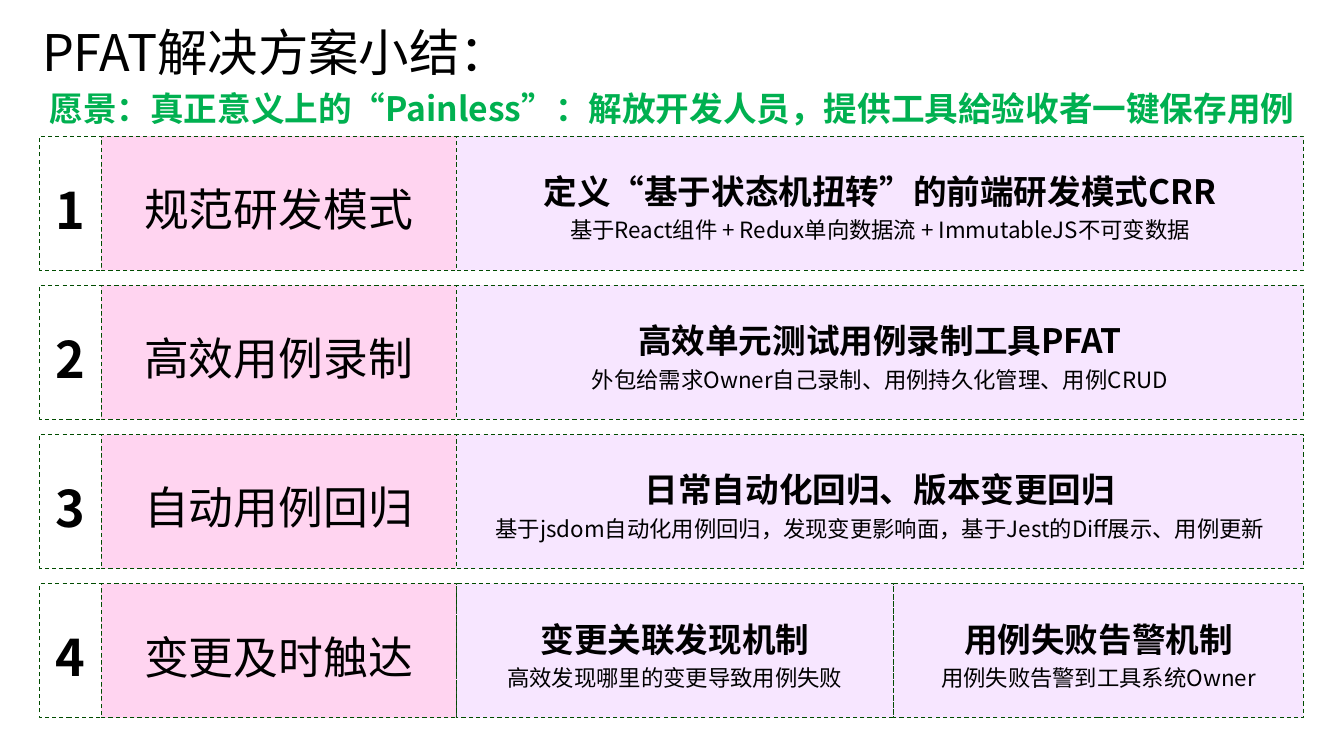
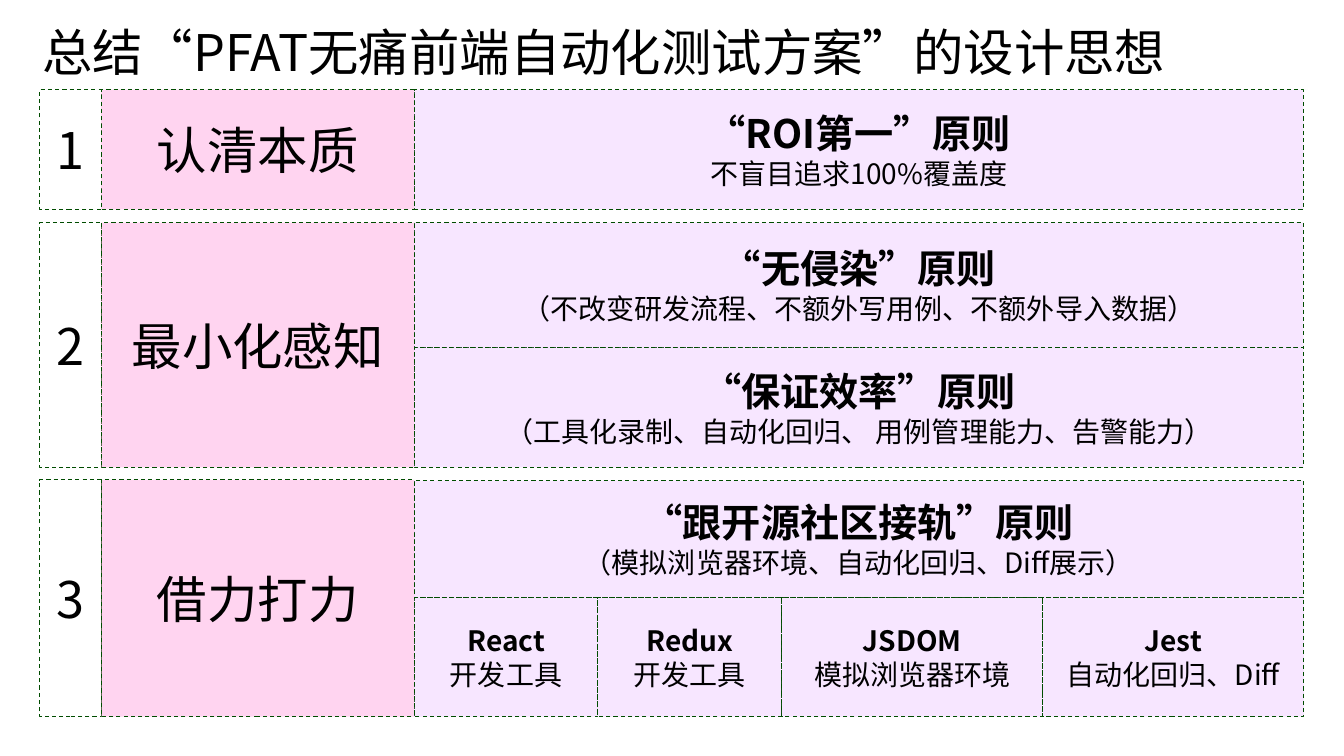
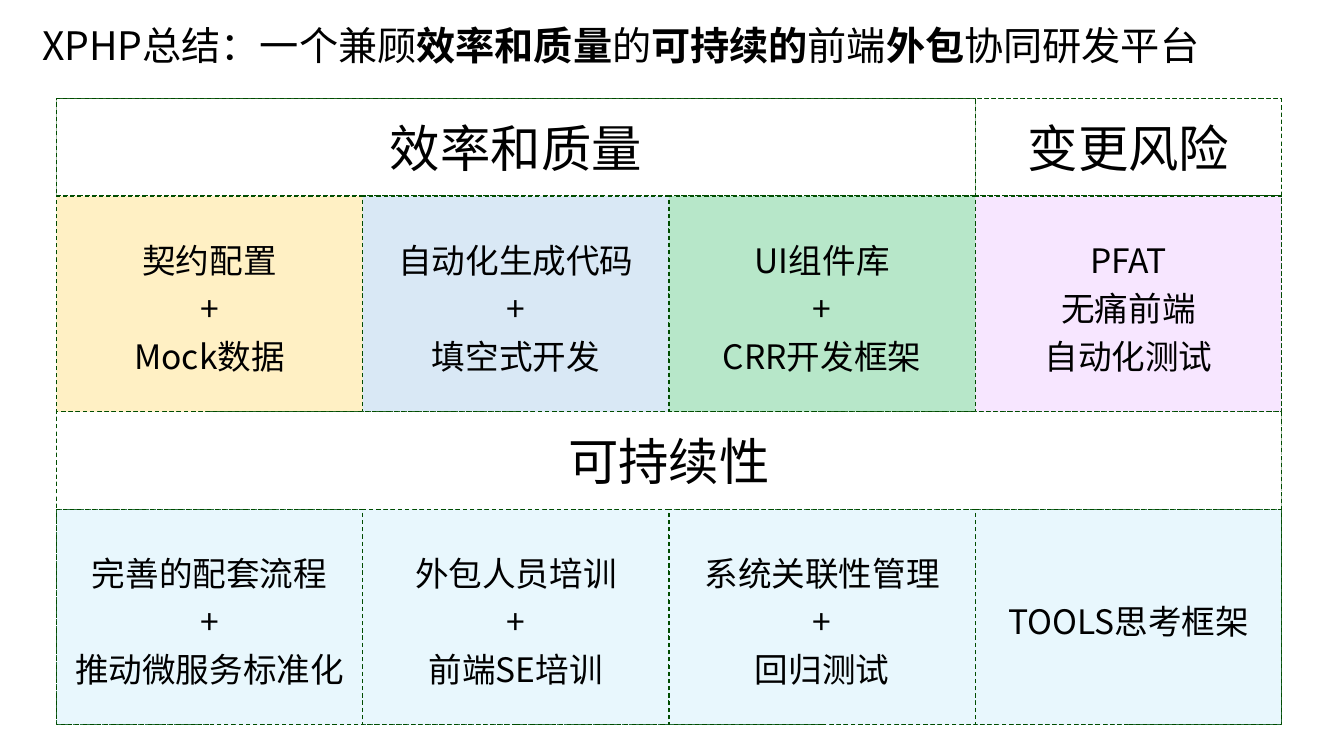
from pptx import Presentation
from pptx.dml.color import RGBColor as RGB
from pptx.enum.dml import MSO_LINE
from pptx.enum.lang import MSO_LANGUAGE_ID as Lang
from pptx.enum.shapes import MSO_SHAPE as Shape
from pptx.enum.text import MSO_ANCHOR as Anchor, MSO_AUTO_SIZE as Fit, PP_ALIGN as Align
from pptx.oxml.ns import qn
from pptx.util import Cm, Pt
from lxml.etree import SubElement

FONT = "Noto Sans CJK SC"
BLACK = RGB(0x00, 0x00, 0x00)
GREEN = RGB(0x00, 0xB0, 0x50)
EDGE = RGB(0x00, 0x4C, 0x00)

# Fills: colour and opacity in percent
WHITE = (RGB(0xFF, 0xFF, 0xFF), 100)
PINK = (RGB(0xFF, 0x8A, 0xD8), 36)
LILAC = (RGB(0xD8, 0x83, 0xFF), 20)
GOLD = (RGB(0xFF, 0xD9, 0x66), 38)
BLUE = (RGB(0x9D, 0xC3, 0xE6), 38)
MINT = (RGB(0xA5, 0xE1, 0xBC), 80)
SKY = (RGB(0xA6, 0xE1, 0xFB), 25)

# Shared columns, in centimetres
LEFT, NAME, RIGHT = 1, 2.55, 32.85


def style(run, size, bold=False, color=BLACK):
    font = run.font
    font.size, font.bold, font.name = Pt(size), bold, FONT
    font.color.rgb = color
    font.language_id = Lang.SIMPLIFIED_CHINESE
    SubElement(run._r.get_or_add_rPr(), qn("a:ea")).set("typeface", FONT)


def box(x, y, w, h):
    return Cm(x), Cm(y), Cm(w), Cm(h)


def label(slide, area, parts, size, color=BLACK, space=None):
    """Add a one-paragraph text box; parts are (text, bold) pairs."""
    frame = slide.shapes.add_textbox(*area).text_frame
    frame.word_wrap = True
    frame.auto_size = Fit.SHAPE_TO_FIT_TEXT
    par = frame.paragraphs[0]
    par.line_spacing = space
    for text, bold in parts:
        run = par.add_run()
        run.text = text
        style(run, size, bold, color)


def title(slide, parts, size=36):
    label(slide, box(0.81, 0.41, 32.5, 1.8), parts, size)


def cell(slide, area, tint, lines=(), space=None):
    """Add a dashed rectangle; lines are (text, size, bold) triples."""
    rect = slide.shapes.add_shape(Shape.RECTANGLE, *area)
    rect.shadow.inherit = False
    color, alpha = tint
    rect.fill.solid()
    rect.fill.fore_color.rgb = color
    if alpha < 100:
        node = rect.fill._xPr.find(".//" + qn("a:srgbClr"))
        SubElement(node, qn("a:alpha")).set("val", str(alpha * 1000))
    rect.line.color.rgb = EDGE
    rect.line.width = Pt(0.75)
    rect.line.dash_style = MSO_LINE.DASH
    frame = rect.text_frame
    frame.word_wrap = True
    frame.vertical_anchor = Anchor.MIDDLE
    frame.text = "\n".join(text for text, _, _ in lines)
    for par, (_, size, bold) in zip(frame.paragraphs, lines):
        par.alignment = Align.CENTER
        par.line_spacing = space
        style(par.runs[0], size, bold)


def point(slide, area, head, note, sizes, space=None):
    lines = [(head, sizes[0], True), (note, sizes[1], False)]
    cell(slide, area, LILAC, lines, space)


def lead(slide, y, h, num, name, edge, size, bold=False, space=None):
    """Add the number and name cells that open a row."""
    cell(slide, box(LEFT, y, NAME - LEFT, h), WHITE, [(num, 36, bold)], space)
    cell(slide, box(NAME, y, edge - NAME, h), PINK, [(name, size, False)], space)


def recap(slide):
    title(slide, [("PFAT解决方案小结：", False)])
    edge, split, top, high, pitch = 11.5, 22.52, 3.43, 3.38, 3.76
    rows = [
        ("规范研发模式", [("定义“基于状态机扭转”的前端研发模式CRR",
                     "基于React组件 + Redux单向数据流 + ImmutableJS不可变数据")]),
        ("高效用例录制", [("高效单元测试用例录制工具PFAT",
                     "外包给需求Owner自己录制、用例持久化管理、用例CRUD")]),
        ("自动用例回归", [("日常自动化回归、版本变更回归",
                     "基于jsdom自动化用例回归，发现变更影响面，基于Jest的Diff展示、用例更新")]),
        ("变更及时触达", [("变更关联发现机制", "高效发现哪里的变更导致用例失败"),
                    ("用例失败告警机制", "用例失败告警到工具系统Owner")]),
    ]
    for i, (name, points) in enumerate(rows):
        y = top + i * pitch
        lead(slide, y, high, str(i + 1), name, edge, 32, True, 1.2)
        stops = [edge, RIGHT] if len(points) == 1 else [edge, split, RIGHT]
        for x, end, (head, note) in zip(stops, stops[1:], points):
            point(slide, box(x, y, end - x, high), head, note, (24, 16), 1.2)
    vision = "愿景：真正意义上的“Painless”：解放开发人员，提供工具給验收者一键保存用例"
    label(slide, box(LEFT, 1.9, 32.35, 1.5), [(vision, True)], 24, GREEN, 1.2)


def ideas(slide):
    title(slide, [("总结“PFAT无痛前端自动化测试方案”的设计思想", False)])
    edge = 10.44
    rows = [(2.26, 3.02, "认清本质"), (5.61, 6.17, "最小化感知"), (12.09, 5.97, "借力打力")]
    for i, (y, h, name) in enumerate(rows, 1):
        lead(slide, y, h, str(i), name, edge, 36)
    rules = [
        (2.26, 3.02, "“ROI第一”原则", "不盲目追求100%覆盖度"),
        (5.61, 3.14, "“无侵染”原则", "（不改变研发流程、不额外写用例、不额外导入数据）"),
        (8.75, 3.03, "“保证效率”原则", "（工具化录制、自动化回归、 用例管理能力、告警能力）"),
        (12.11, 2.95, "“跟开源社区接轨”原则", "（模拟浏览器环境、自动化回归、Diff展示）"),
    ]
    for y, h, head, note in rules:
        point(slide, box(edge, y, RIGHT - edge, h), head, note, (28, 20))
    tools = [(4.63, "React", "开发工具"), (4.63, "Redux", "开发工具"),
             (6.58, "JSDOM", "模拟浏览器环境"), (6.58, "Jest", "自动化回归、Diff")]
    x = edge
    for w, head, note in tools:
        point(slide, box(x, 15.06, w, 3), head, note, (20, 20))
        x += w


def summary(slide):
    title(slide, [("XPHP总结：一个兼顾", False), ("效率和质量", True), ("的", False),
                  ("可持续的", True), ("前端", False), ("外包", True),
                  ("协同研发平台", False)], 28)
    x, y, wide, head, body = 1.42, 2.49, 7.72, 2.45, 5.44
    cell(slide, box(x, y, 4 * wide, 2 * (head + body)), WHITE)
    bands = [
        ([("效率和质量", 3), ("变更风险", 1)],
         [(GOLD, "契约配置", "+", "Mock数据"),
          (BLUE, "自动化生成代码", "+", "填空式开发"),
          (MINT, "UI组件库", "+", "CRR开发框架"),
          (LILAC, "PFAT", "无痛前端", "自动化测试")]),
        ([("可持续性", 4)],
         [(SKY, "完善的配套流程", "+", "推动微服务标准化"),
          (SKY, "外包人员培训", "+", "前端SE培训"),
          (SKY, "系统关联性管理", "+", "回归测试"),
          (SKY, "TOOLS思考框架")]),
    ]
    for heads, tiles in bands:
        col = 0
        for text, span in heads:
            cell(slide, box(x + col * wide, y, span * wide, head), WHITE, [(text, 36, False)])
            col += span
        y += head
        for i, (tint, *texts) in enumerate(tiles):
            lines = [(text, 24, False) for text in texts]
            cell(slide, box(x + i * wide, y, wide, body), tint, lines, 1.2)
        y += body


def main():
    deck = Presentation()
    deck.slide_width, deck.slide_height = Cm(33.87), Cm(19.05)
    for draw in (recap, ideas, summary):
        draw(deck.slides.add_slide(deck.slide_layouts[6]))
    deck.save("out.pptx")


if __name__ == "__main__":
    main()
